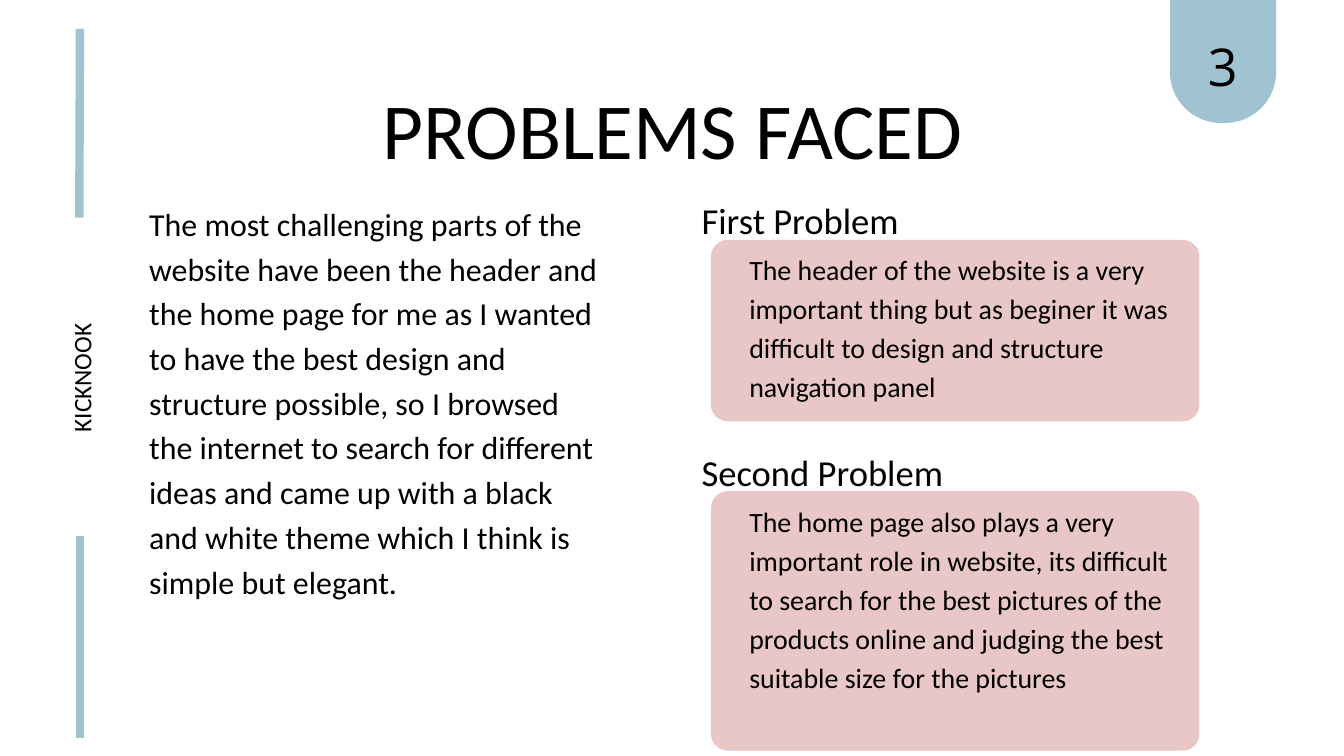
from dataclasses import dataclass

from lxml.etree import SubElement
from pptx import Presentation
from pptx.dml.color import RGBColor as Rgb
from pptx.enum.shapes import MSO_CONNECTOR as Conn, MSO_SHAPE as Shape
from pptx.enum.text import MSO_AUTO_SIZE as Fit, PP_ALIGN as Align
from pptx.oxml.ns import qn
from pptx.util import Emu, Pt


@dataclass(frozen=True)
class Theme:
    """Colours, fonts and type sizes of the slide."""
    ink: str = "000000"
    blue: str = "9FC3D0"
    pink: str = "E9C7C6"
    face: str = "Calibri"
    digit: str = "Open Sans"
    title: float = 85
    number: float = 55.8
    head: float = 39.2
    body: float = 34.2
    card: float = 29.9
    side: float = 27
    lead: float = 1.4
    rule: float = 9


class Page:
    """Draws elements on one slide, with 100 px to the inch."""

    def __init__(self, deck, theme):
        """Add a blank slide to the deck."""
        self.theme = theme
        self.shapes = deck.slides.add_slide(deck.slide_layouts[6]).shapes

    @staticmethod
    def emu(*vals):
        """Turn px into EMU."""
        return [Emu(val * 9144) for val in vals]

    def text(self, words, box, size, align=Align.LEFT, face=None, turn=0):
        """Add a text box without margins."""
        item = self.shapes.add_textbox(*self.emu(*box))
        item.rotation = turn
        frame = item.text_frame
        frame.margin_left = frame.margin_right = 0
        frame.margin_top = frame.margin_bottom = 0
        frame.word_wrap = True
        frame.auto_size = Fit.SHAPE_TO_FIT_TEXT
        frame.text = words
        para = frame.paragraphs[0]
        para.alignment = align
        para.line_spacing = Pt(size * self.theme.lead)
        font = para.runs[0].font
        font.name = face or self.theme.face
        font.size = Pt(size)
        font.color.rgb = Rgb.from_string(self.theme.ink)

    def block(self, kind, box, fill, *bends):
        """Add a filled shape with the given corner bends."""
        item = self.shapes.add_shape(kind, *self.emu(*box))
        item.shadow.inherit = False
        item.fill.solid()
        item.fill.fore_color.rgb = Rgb.from_string(fill)
        item.line.fill.background()
        for spot, bend in enumerate(bends):
            item.adjustments[spot] = bend

    def rule(self, *ends):
        """Add a thick blue line."""
        item = self.shapes.add_connector(Conn.STRAIGHT, *self.emu(*ends))
        item.line.color.rgb = Rgb.from_string(self.theme.blue)
        item.line.width = Pt(self.theme.rule)
        SubElement(item._element.spPr, qn("a:effectLst"))

    def issue(self, head, words, top, tall):
        """Add a heading above a rounded card of text."""
        theme = self.theme
        self.block(Shape.ROUNDED_RECTANGLE, (1058, top, 727, tall),
                   theme.pink, 25 / tall)
        self.text(words, (1115, top + 11, 634, tall - 42), theme.card)
        self.text(head, (1044, top - 73, 577, 73), theme.head)


def main():
    """Build the slide and save it."""
    deck = Presentation()
    deck.slide_width, deck.slide_height = Page.emu(2000, 1125)
    theme = Theme()
    page = Page(deck, theme)

    page.text("PROBLEMS FACED", (429, 95, 1143, 159), theme.title, Align.CENTER)
    page.text(
        "The most challenging parts of the website have been the header and "
        "the home page for me as I wanted to have the best design and "
        "structure possible, so I browsed the internet to search for "
        "different ideas and came up with a black and white theme which I "
        "think is simple but elegant.",
        (222, 295, 676, 658), theme.body)
    page.issue(
        "First Problem",
        "The header of the website is a very important thing but as beginer "
        "it was difficult to design and structure navigation panel",
        357, 270)
    page.issue(
        "Second Problem",
        "The home page also plays a very important role in website, its "
        "difficult to search for the best pictures of the products online "
        "and judging the best suitable size for the pictures",
        731, 386)

    page.text("KICKNOOK", (-260, 537, 753, 51), theme.side, Align.CENTER,
              turn=270)
    page.rule(118, 324, 119, 43)
    page.rule(119, 1098, 119, 797)

    page.block(Shape.ROUND_2_SAME_RECTANGLE, (1741, 0, 158, 183),
               theme.blue, 0, 0.48)
    page.text("3", (1734, 36, 171, 102), theme.number, Align.CENTER,
              theme.digit)
    deck.save("out.pptx")


if __name__ == "__main__":
    main()
